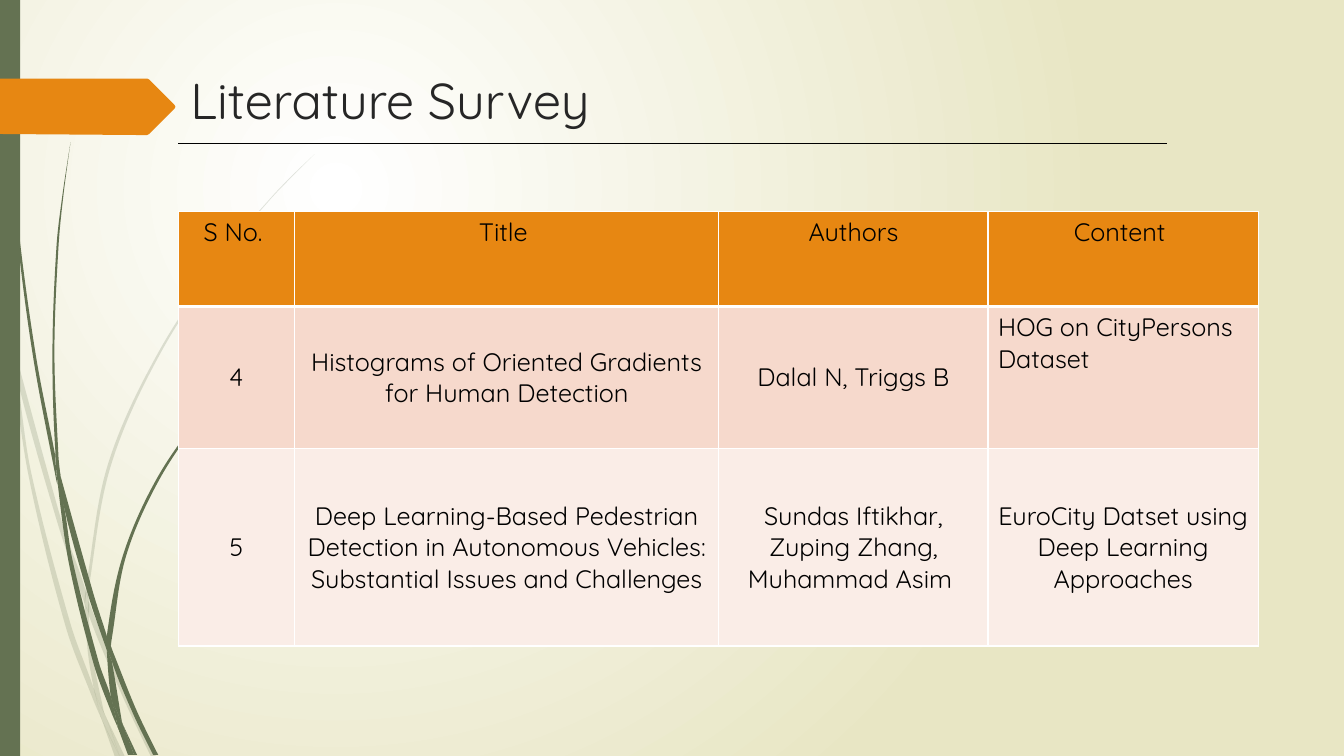
import math

from lxml import etree
from pptx import Presentation
from pptx.dml.color import RGBColor
from pptx.enum import shapes, text
from pptx.oxml import ns
from pptx.util import Inches, Pt

WHITE = RGBColor(0xFF, 0xFF, 0xFF)
BLACK = RGBColor(0, 0, 0)
SAND = RGBColor(0xE8, 0xE6, 0xC4)
GREEN = RGBColor(0x64, 0x72, 0x52)
ORANGE = RGBColor(0xE7, 0x87, 0x12)
PEACH = RGBColor(0xF6, 0xD9, 0xCC)
BLUSH = RGBColor(0xFA, 0xED, 0xE7)
TITLE_GREY = RGBColor(0x26, 0x26, 0x26)
FONT = "Quicksand"

# Grass: the points around each piece of a blade
PALE_GRASS = [
    [(0.11, 3.5), (0.09, 3.22), (0, 2.82), (0, 2.99), (0.1, 3.44)],
    [(0.58, 5.22), (0.84, 5.99), (0.85, 5.86), (0.62, 5.2), (0.14, 3.45), (0.17, 3.76)],
    [(0.92, 6.07), (0.88, 5.96), (0.88, 6.1), (1.23, 6.94), (1.5, 7.51), (1.55, 7.51),
     (1.27, 6.92)],
    [(1.19, 7.51), (1.24, 7.51), (1.05, 7.11)],
    [(0.93, 6.83), (0.7, 6.19), (0.31, 4.69), (0.17, 3.76), (0.11, 3.5), (0.28, 4.7),
     (0.65, 6.21), (0.92, 6.93), (1.01, 7.14), (0.99, 7.07)],
    [(0.84, 5.99), (0.87, 6.46), (0.93, 6.83), (0.96, 6.92), (1.05, 7.11), (1.03, 7.06),
     (0.91, 6.46), (0.88, 6.1), (0.88, 6.08)],
    [(0.88, 5.84), (1.1, 4.62), (1.6, 3.49), (2.29, 2.45), (2.68, 1.98), (2.9, 1.75),
     (3.12, 1.53), (2.89, 1.75), (2.68, 1.97), (2.28, 2.44), (1.58, 3.48), (1.07, 4.61),
     (0.85, 5.84), (0.85, 5.86), (0.88, 5.96)],
    [(1.01, 7.14), (1.14, 7.51), (1.19, 7.51)],
    [(0.88, 6.08), (0.88, 6.1), (0.88, 5.96), (0.85, 5.86), (0.84, 5.99)],
    [(0.96, 6.92), (0.93, 6.83), (0.99, 7.07), (1.01, 7.14), (1.19, 7.51), (1.05, 7.11)],
]
DARK_GRASS = [
    [(0.07, 1.1), (0.17, 2.33), (0.33, 3.55), (0.56, 4.77), (0.57, 4.81), (0.55, 4.57),
     (0.55, 4.53), (0.36, 3.55), (0.19, 2.32), (0.08, 1.09), (0.05, 0.48), (0.04, 0),
     (0.03, 0), (0.04, 0.48)],
    [(0.88, 5.92), (1.06, 6.45), (1.06, 6.33), (1.06, 6.31), (0.93, 5.9), (0.6, 4.72),
     (0.64, 5.05)],
    [(1.13, 6.49), (1.1, 6.41), (1.11, 6.56), (1.32, 7.08), (1.52, 7.49), (1.57, 7.49),
     (1.36, 7.06)],
    [(1.1, 6.91), (0.98, 6.57), (0.72, 5.56), (0.64, 5.05), (0.57, 4.77), (0.68, 5.57),
     (0.93, 6.59), (1.11, 7.08), (1.17, 7.22), (1.16, 7.17)],
    [(0.6, 4.72), (0.58, 4.53), (0.54, 3.49), (0.58, 2.45), (0.63, 1.93), (0.7, 1.41),
     (0.62, 1.93), (0.56, 2.45), (0.52, 3.49), (0.55, 4.49)],
    [(1.33, 7.49), (1.36, 7.49), (1.22, 7.19)],
    [(0.57, 4.77), (0.64, 5.05), (0.6, 4.72), (0.55, 4.49), (0.55, 4.53)],
    [(1.11, 6.33), (1.25, 5.52), (1.58, 4.76), (2.05, 4.06), (2.31, 3.74), (2.45, 3.59),
     (2.6, 3.44), (2.45, 3.58), (2.31, 3.73), (2.04, 4.05), (1.56, 4.74), (1.22, 5.51),
     (1.06, 6.31), (1.1, 6.41)],
    [(1.17, 7.22), (1.27, 7.49), (1.31, 7.49)],
    [(1.06, 6.45), (1.1, 6.91), (1.16, 7.06), (1.22, 7.19), (1.21, 7.16), (1.11, 6.56),
     (1.09, 6.51)],
    [(1.06, 6.45), (1.09, 6.51), (1.11, 6.56), (1.1, 6.41), (1.06, 6.31), (1.06, 6.33)],
    [(1.16, 7.06), (1.1, 6.91), (1.16, 7.17), (1.17, 7.22), (1.3, 7.49), (1.33, 7.49),
     (1.22, 7.19)],
]
ARROW = [(1.73, 1.08), (1.48, 1.33), (1.46, 1.34), (1.36, 1.34), (0, 1.33), (0, 0.78),
         (1.36, 0.78), (1.46, 0.78), (1.48, 0.79), (1.73, 1.04), (1.74, 1.06)]

COLUMN_WIDTHS = [1.15, 4.21, 2.67, 2.68]
SURVEY_ROWS = [  # height, fill, cells
    (0.94, ORANGE, ["S No. ", "Title ", "Authors", "Content "]),
    (1.41, PEACH, ["4", "Histograms of Oriented Gradients for Human Detection",
                   "Dalal N, Triggs B", "HOG on CityPersons Dataset"]),
    (1.96, BLUSH, ["5", "Deep Learning-Based Pedestrian Detection in Autonomous "
                   "Vehicles: Substantial Issues and Challenges",
                   "Sundas Iftikhar, Zuping Zhang, Muhammad Asim ",
                   "EuroCity Datset using Deep Learning Approaches"]),
]


def add_xml(parent, tag, **attributes):
    return etree.SubElement(parent, ns.qn(tag), attributes)


def paint(shape, color, opacity=100):
    shape.shadow.inherit = False
    shape.fill.solid()
    shape.fill.fore_color.rgb = color
    shape.line.fill.background()
    if opacity < 100:
        solid_color = shape.fill._xPr.find(".//" + ns.qn("a:srgbClr"))
        add_xml(solid_color, "a:alpha", val=str(opacity * 1000))


def write(frame, words, size, color, align=text.PP_ALIGN.LEFT):
    paragraph = frame.paragraphs[0]
    paragraph.alignment = align
    run = paragraph.add_run()
    run.text = words
    for key, value in {"name": FONT, "size": Pt(size)}.items():
        setattr(run.font, key, value)
    run.font.color.rgb = color


def set_background(slide):
    fill = slide.background.fill
    fill.gradient()
    for stop, color, position in zip(fill.gradient_stops, (WHITE, SAND), (0, 1)):
        stop.color.rgb = color
        stop.position = position
    gradient = slide.background._cSld.find(".//" + ns.qn("a:gradFill"))
    gradient.remove(gradient.find(ns.qn("a:lin")))
    circle = add_xml(gradient, "a:path", path="circle")
    add_xml(circle, "a:fillToRect", l="50000", t="50000", r="100000", b="100000")


def tangent(before, point, after):
    """Direction of the curve at a point; none where the outline has a corner."""
    turn = (math.atan2(after[1] - point[1], after[0] - point[0])
            - math.atan2(point[1] - before[1], point[0] - before[0]))
    if math.cos(turn) < 0.8:
        return 0, 0
    span = math.dist(before, after)
    return (after[0] - before[0]) / span, (after[1] - before[1]) / span


def bend(outline, points):
    """Turn the straight sides of an outline into smooth curves."""
    count = len(points)
    slopes = [tangent(points[i - 1], points[i], points[(i + 1) % count]) for i in range(count)]
    sides = list(outline._element.iter(ns.qn("a:lnTo")))
    for i, side in enumerate(sides):
        j = (i + 1) % count
        reach = math.dist(points[i], points[j]) / 3
        start = [p + reach * s for p, s in zip(points[i], slopes[i])]
        end = [p - reach * s for p, s in zip(points[j], slopes[j])]
        side.tag = ns.qn("a:cubicBezTo")
        for n, (x, y) in enumerate((start, end)):
            handle = etree.Element(ns.qn("a:pt"), x=str(Inches(x) - outline.left),
                                   y=str(Inches(y) - outline.top))
            side.insert(n, handle)


def add_outline(slide, points, color, opacity=100):
    corners = [(Inches(x), Inches(y)) for x, y in points]
    builder = slide.shapes.build_freeform(*corners[0])
    builder.add_line_segments(corners[1:] + corners[:1])
    outline = builder.convert_to_shape()
    paint(outline, color, opacity)
    return outline


def add_title(slide):
    title = slide.shapes.add_textbox(Inches(1.79), Inches(0.64), Inches(9.75), Inches(0.79))
    title.text_frame.word_wrap = True
    write(title.text_frame, "Literature Survey", 36, TITLE_GREY)


def add_rule(slide):
    rule = slide.shapes.add_connector(
        shapes.MSO_CONNECTOR.STRAIGHT, Inches(1.77), Inches(1.42), Inches(11.57), Inches(1.42))
    rule.line.color.rgb = BLACK
    rule.line.width = Pt(0.75)
    add_xml(rule._element.spPr, "a:effectLst")


def set_borders(cell, widths):
    properties = cell._tc.get_or_add_tcPr()
    for index, (side, width) in enumerate(widths.items()):
        border = etree.Element(ns.qn("a:ln" + side), w=str(Pt(width)))
        add_xml(add_xml(border, "a:solidFill"), "a:srgbClr", val=str(WHITE))
        properties.insert(index, border)


def add_survey(slide):
    survey = slide.shapes.add_table(
        len(SURVEY_ROWS), len(COLUMN_WIDTHS), Inches(1.77), Inches(2.1),
        Inches(sum(COLUMN_WIDTHS)), Inches(4.31)).table
    for column, width in zip(survey.columns, COLUMN_WIDTHS):
        column.width = Inches(width)
    for r, (height, color, entries) in enumerate(SURVEY_ROWS):
        survey.rows[r].height = Inches(height)
        for c, words in enumerate(entries):
            cell = survey.cell(r, c)
            cell.fill.solid()
            cell.fill.fore_color.rgb = color
            top_left = (r, c) == (1, 3)
            align = text.PP_ALIGN.LEFT if top_left else text.PP_ALIGN.CENTER
            if r > 0 and not top_left:
                cell.vertical_anchor = text.MSO_ANCHOR.MIDDLE
            write(cell.text_frame, words, 18, BLACK, align)
            set_borders(cell, {"L": 1, "R": 1, "T": 3 if r == 1 else 1, "B": 3 if r == 0 else 1})


def main():
    prs = Presentation()
    prs.slide_width, prs.slide_height = Inches(13.33), Inches(7.5)
    slide = prs.slides.add_slide(prs.slide_layouts[6])
    # Backdrop
    set_background(slide)
    for grass, opacity in ((PALE_GRASS, 20), (DARK_GRASS, 100)):
        for points in grass:
            bend(add_outline(slide, points, GREEN, opacity), points)
    side_bar = slide.shapes.add_shape(shapes.MSO_SHAPE.RECTANGLE, 0, 0, Inches(0.2), Inches(7.5))
    paint(side_bar, GREEN)
    add_outline(slide, ARROW, ORANGE)
    # Content
    add_title(slide)
    add_survey(slide)
    add_rule(slide)
    prs.save("out.pptx")


if __name__ == "__main__":
    main()
